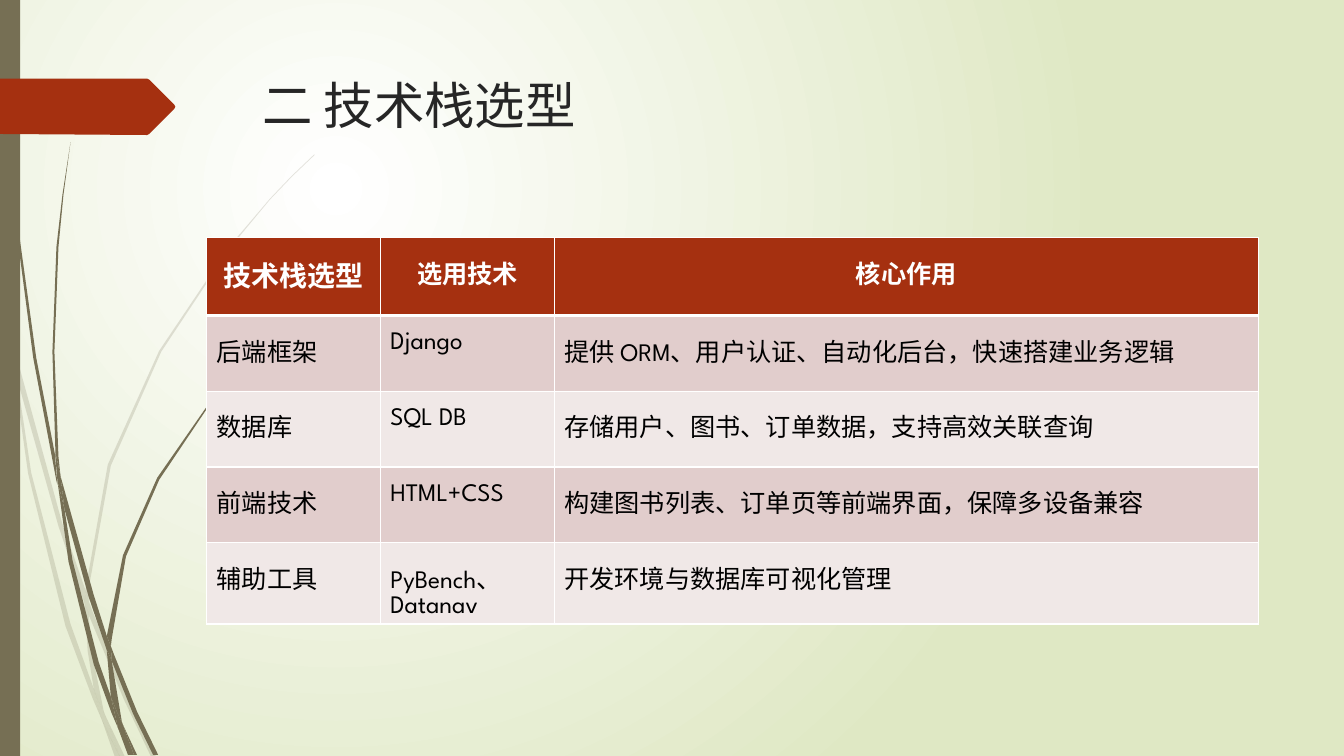
from dataclasses import dataclass

from lxml import etree
from pptx import Presentation
from pptx.dml.color import RGBColor
from pptx.enum.shapes import MSO_SHAPE
from pptx.enum.text import MSO_ANCHOR, MSO_AUTO_SIZE, PP_ALIGN
from pptx.oxml.ns import qn
from pptx.util import Cm, Pt

RECTANGLE = MSO_SHAPE.RECTANGLE
TOP = MSO_ANCHOR.TOP
FIXED_SIZE = MSO_AUTO_SIZE.NONE
LEFT, CENTER = PP_ALIGN.LEFT, PP_ALIGN.CENTER


@dataclass(frozen=True)
class Theme:
    font: str = "League Spartan"
    glow: str = "FFFFFF"
    meadow: str = "DFE8C4"
    stem: str = "766F54"
    accent: str = "A53010"
    heading: str = "262626"
    body: str = "000000"
    inverse: str = "FFFFFF"
    bands: tuple = ("E1CDCC", "F0E8E7")
    title_size: int = 36
    lead_size: int = 20
    text_size: int = 18
    pale_opacity: int = 20


THEME = Theme()
OUTLINE_UNIT = Cm(0.0254)  # outlines are given in hundredths of an inch

PALE_GRASS = [
    [(11, 350), (9, 322), (0, 282), (0, 299), (10, 344)],
    [(58, 522), (84, 599), (85, 586), (62, 520), (14, 345), (17, 376)],
    [(92, 607), (88, 596), (88, 610), (123, 694), (150, 751), (155, 751),
     (127, 692)],
    [(119, 751), (124, 751), (105, 711)],
    [(93, 683), (70, 619), (31, 469), (17, 376), (11, 350), (28, 470),
     (65, 621), (92, 693), (101, 714), (99, 707)],
    [(84, 599), (87, 646), (93, 683), (96, 692), (105, 711), (103, 706),
     (91, 646), (88, 610), (88, 608)],
    [(88, 584), (110, 462), (160, 349), (229, 245), (268, 198), (290, 175),
     (312, 154), (312, 153), (289, 175), (268, 197), (228, 244), (158, 348),
     (107, 461), (85, 584), (85, 586), (88, 596)],
    [(101, 714), (114, 751), (119, 751)],
    [(88, 608), (88, 610), (88, 596), (85, 586), (84, 599)],
    [(96, 692), (93, 683), (99, 707), (101, 714), (119, 751), (105, 711)],
]

DARK_GRASS = [
    [(7, 110), (17, 233), (33, 355), (56, 477), (57, 481), (55, 457),
     (55, 453), (36, 355), (19, 232), (8, 109), (5, 48), (4, 0), (3, 0),
     (4, 48)],
    [(88, 592), (106, 645), (106, 633), (106, 631), (93, 590), (60, 472),
     (64, 505)],
    [(113, 649), (110, 641), (111, 656), (132, 708), (152, 749), (157, 749),
     (136, 706)],
    [(110, 691), (98, 657), (72, 556), (64, 505), (57, 477), (68, 557),
     (93, 659), (111, 708), (117, 722), (116, 717)],
    [(60, 472), (58, 453), (54, 349), (58, 245), (63, 193), (70, 141),
     (62, 193), (56, 245), (52, 349), (55, 449)],
    [(133, 749), (136, 749), (122, 719)],
    [(57, 477), (64, 505), (60, 472), (55, 449), (55, 453)],
    [(111, 633), (125, 552), (158, 476), (205, 406), (231, 374), (245, 359),
     (261, 344), (260, 344), (245, 358), (231, 373), (204, 405), (156, 474),
     (122, 551), (106, 631), (110, 641)],
    [(117, 722), (127, 749), (131, 749)],
    [(106, 645), (110, 691), (116, 706), (122, 719), (121, 716), (111, 656),
     (109, 651)],
    [(106, 645), (109, 651), (111, 656), (110, 641), (106, 631), (106, 633)],
    [(116, 706), (110, 691), (116, 717), (117, 722), (130, 749), (133, 749),
     (122, 719)],
]

PAGE_ARROW = [(0, 78), (146, 78), (148, 79), (173, 104), (174, 106),
              (173, 108), (148, 133), (146, 134), (0, 133)]

STACK = [
    ("技术栈选型", "选用技术", "核心作用"),
    ("后端框架", "Django", "提供 ORM、用户认证、自动化后台，快速搭建业务逻辑"),
    ("数据库", "SQL DB", "存储用户、图书、订单数据，支持高效关联查询"),
    ("前端技术", "HTML+CSS", "构建图书列表、订单页等前端界面，保障多设备兼容"),
    ("辅助工具", "PyBench、Datanav", "开发环境与数据库可视化管理"),
]


def write(frame, text, size=THEME.text_size, color=THEME.body, bold=False, align=LEFT):
    paragraph = frame.paragraphs[0]
    paragraph.alignment = align
    run = paragraph.add_run()
    run.text = text
    run.font.name = THEME.font
    run.font.size = Pt(size)
    run.font.bold = bold
    run.font.color.rgb = RGBColor.from_string(color)


def paint(shape, color, opacity=100):
    shape.shadow.inherit = False
    shape.line.fill.background()
    shape.fill.solid()
    shape.fill.fore_color.rgb = RGBColor.from_string(color)
    if opacity < 100:
        tint = shape.fill._xPr.find(qn("a:solidFill"))[0]
        etree.SubElement(tint, qn("a:alpha"), val=str(opacity * 1000))


def draw_outlines(slide, left, top, outlines, color, opacity=100):
    for start, *others in outlines:
        builder = slide.shapes.build_freeform(*start, scale=OUTLINE_UNIT)
        builder.add_line_segments(others, close=True)
        paint(builder.convert_to_shape(left, top), color, opacity)


def fill_background(slide):
    """Radial glow centred in the upper left quarter."""
    fill = slide.background.fill
    fill.gradient()
    for stop, color in zip(fill.gradient_stops, (THEME.glow, THEME.meadow)):
        stop.color.rgb = RGBColor.from_string(color)
    gradient = slide.background._cSld.find(".//" + qn("a:gradFill"))
    for stop, position in zip(gradient.iter(qn("a:gs")), ("0", "100000")):
        stop.set("pos", position)
    gradient.remove(gradient.find(qn("a:lin")))
    circle = etree.SubElement(gradient, qn("a:path"), {"path": "circle"})
    etree.SubElement(circle, qn("a:fillToRect"),
                     l="50000", t="50000", r="100000", b="100000")


def add_left_decoration(slide, left, top, height):
    draw_outlines(slide, left, top, PALE_GRASS, THEME.stem, THEME.pale_opacity)
    draw_outlines(slide, left, top, DARK_GRASS, THEME.stem)
    paint(slide.shapes.add_shape(RECTANGLE, left, top, Cm(0.51), height), THEME.stem)
    draw_outlines(slide, left, top, [PAGE_ARROW], THEME.accent)


def add_title(slide, left, top, width, height):
    title = slide.shapes.title
    title.left, title.top, title.width, title.height = left, top, width, height
    frame = title.text_frame
    frame.auto_size = FIXED_SIZE
    frame.vertical_anchor = TOP
    write(frame, "二 技术栈选型", size=THEME.title_size, color=THEME.heading)


def set_borders(cell, **widths):
    """Draw the sides L, R, T and B in white, with widths in points."""
    properties = cell._tc.get_or_add_tcPr()
    for position, side in enumerate("LRTB"):
        border = etree.Element(qn("a:ln" + side), w=str(Pt(widths.get(side, 1))))
        solid = etree.SubElement(border, qn("a:solidFill"))
        etree.SubElement(solid, qn("a:srgbClr"), val=THEME.inverse)
        properties.insert(position, border)


def fill_cell(cell, text, row, column):
    header = row == 0
    color = THEME.accent if header else THEME.bands[(row - 1) % 2]
    cell.fill.solid()
    cell.fill.fore_color.rgb = RGBColor.from_string(color)
    cell.margin_left = cell.margin_right = Cm(0.25)
    cell.margin_top, cell.margin_bottom = Cm(0.41), Cm(0.13)
    set_borders(cell, T=3 if row == 1 else 1, B=3 if header else 1)
    if header:
        write(cell.text_frame, text, color=THEME.inverse, bold=True, align=CENTER,
              size=THEME.text_size if column else THEME.lead_size)
    else:
        write(cell.text_frame, text)


def add_stack_table(slide, left, top, width, height):
    table = slide.shapes.add_table(len(STACK), len(STACK[0]),
                                   left, top, width, height).table
    table.horz_banding = False
    narrow = Cm(4.38)
    for column, size in zip(table.columns, (narrow, narrow, width - 2 * narrow)):
        column.width = size
    body_height = Cm(1.91)
    table.rows[0].height = height - body_height * (len(STACK) - 1)
    for row in list(table.rows)[1:]:
        row.height = body_height
    for row, texts in enumerate(STACK):
        for column, text in enumerate(texts):
            fill_cell(table.cell(row, column), text, row, column)


def main():
    deck = Presentation()
    deck.slide_width, deck.slide_height = Cm(33.87), Cm(19.05)
    slide = deck.slides.add_slide(deck.slide_layouts.get_by_name("Title Only"))
    fill_background(slide)
    add_left_decoration(slide, Cm(0), Cm(0), deck.slide_height)
    add_title(slide, Cm(6.35), Cm(1.73), Cm(24.77), Cm(3.56))
    add_stack_table(slide, Cm(5.21), Cm(5.99), Cm(26.5), Cm(9.6))
    deck.save("out.pptx")


if __name__ == "__main__":
    main()
